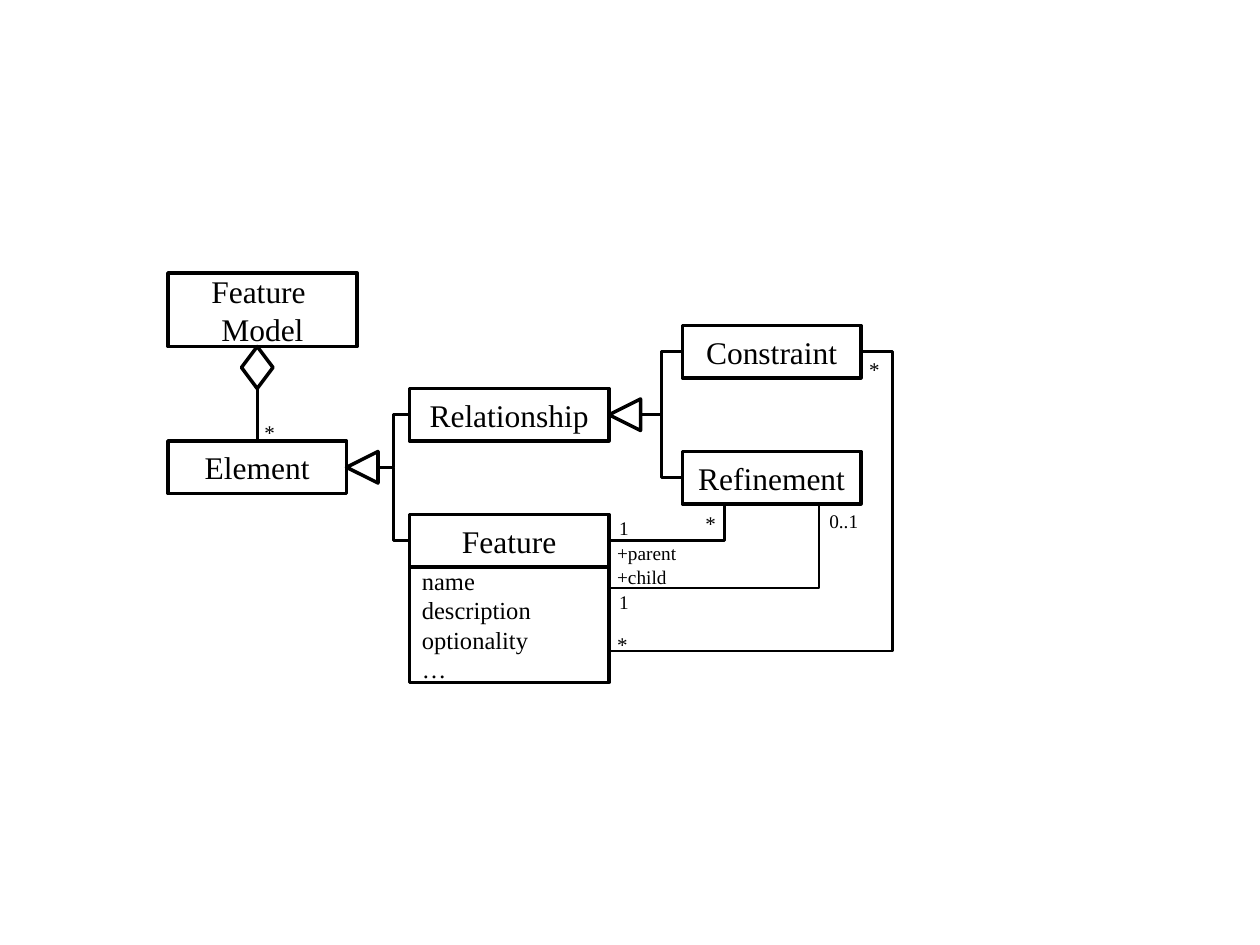
from dataclasses import dataclass

from lxml import etree
from pptx import Presentation
from pptx.dml.color import RGBColor
from pptx.enum.shapes import MSO_CONNECTOR, MSO_SHAPE
from pptx.enum.text import MSO_ANCHOR, MSO_AUTO_SIZE, PP_ALIGN
from pptx.oxml.ns import qn
from pptx.util import Cm, Pt

RECTANGLE, TRIANGLE, DIAMOND = MSO_SHAPE.RECTANGLE, MSO_SHAPE.ISOSCELES_TRIANGLE, MSO_SHAPE.DIAMOND
STRAIGHT, ELBOW = MSO_CONNECTOR.STRAIGHT, MSO_CONNECTOR.ELBOW
CENTER, LEFT = PP_ALIGN.CENTER, PP_ALIGN.LEFT
MIDDLE = MSO_ANCHOR.MIDDLE
FIT_TEXT = MSO_AUTO_SIZE.SHAPE_TO_FIT_TEXT
TOP, BOTTOM = 0, 2


@dataclass(frozen=True)
class Theme:
    font: str = "Times New Roman"
    ink: RGBColor = RGBColor(0, 0, 0)
    paper: RGBColor = RGBColor(255, 255, 255)
    class_size: int = 18
    attribute_size: int = 14
    star_size: int = 12
    label_size: int = 11
    outline: float = 2
    link: float = 1.5


theme = Theme()
GRID = 2.54 / 12  # the diagram sits on a grid of twelve steps to the inch


def grid(*steps):
    return [Cm(step * GRID) for step in steps]


def write(shape, text, size, align):
    shape.text_frame.text = text
    for para in shape.text_frame.paragraphs:
        para.alignment = align
        for span in para.runs:
            span.font.name = theme.font
            span.font.size = Pt(size)
            span.font.color.rgb = theme.ink


deck = Presentation()
deck.slide_width, deck.slide_height = Cm(25.4), Cm(19.05)
page = deck.slides.add_slide(deck.slide_layouts[6])

# Links: start, end, and where the bend lies as a share of the width
links = [
    ((58, 51.5), (69, 48), 1),         # Feature as parent - Refinement
    ((58, 56), (78, 48), 1),           # Feature as child - Refinement
    ((82, 33.5), (58, 62), -0.125),    # Constraint - Feature
    ((36, 44.5), (39, 39.5), 0.5),     # Element - Relationship
    ((36, 44.5), (39, 51.5), 0.5),     # Element - Feature
    ((61, 39.5), (65, 33.5), 0.5),     # Relationship - Constraint
    ((61, 39.5), (65, 45.5), 0.5),     # Relationship - Refinement
]
connectors = []
for start, end, bend in links:
    link = page.shapes.add_connector(ELBOW, *grid(*start, *end))
    guides = link._element.spPr.find(qn("a:prstGeom")).get_or_add_avLst()
    etree.SubElement(guides, qn("a:gd"), name="adj1", fmla=f"val {round(bend * 100000)}")
    connectors.append(link)

# Class boxes, inheritance triangles and the aggregation diamond
nodes = [
    (RECTANGLE, "Relationship", 39, 37, 19, 5),
    (RECTANGLE, "Element", 16, 42, 17, 5),
    (RECTANGLE, "Feature", 39, 49, 19, 5),
    (RECTANGLE, "Refinement", 65, 43, 17, 5),
    (RECTANGLE, "Constraint", 65, 31, 17, 5),
    (RECTANGLE, "Feature \nModel", 16, 26, 18, 7),
    (RECTANGLE, "name\ndescription\noptionality\n…", 39, 54, 19, 11),
    (TRIANGLE, "", 33, 43, 3, 3),
    (TRIANGLE, "", 58, 38, 3, 3),
    (DIAMOND, "", 23, 33, 3, 4),
]
shapes = {}
for kind, text, *place in nodes:
    box = page.shapes.add_shape(kind, *grid(*place))
    box.shadow.inherit = False
    box.fill.solid()
    box.fill.fore_color.rgb = theme.paper
    box.line.color.rgb = theme.ink
    box.line.width = Pt(theme.outline)
    box.text_frame.vertical_anchor = MIDDLE
    if kind == TRIANGLE:
        box.rotation = 270
    if text.startswith("name"):
        write(box, text, theme.attribute_size, LEFT)
    elif text:
        write(box, text, theme.class_size, CENTER)
    shapes[text or kind] = box

# Aggregation line from the diamond to Element
aggregation = page.shapes.add_connector(STRAIGHT, *grid(24.5, 37, 24.5, 42))
aggregation.begin_connect(shapes[DIAMOND], BOTTOM)
aggregation.end_connect(shapes["Element"], TOP)
connectors.append(aggregation)

for link in connectors:
    link.line.color.rgb = theme.ink
    link.line.width = Pt(theme.link)
    etree.SubElement(link._element.spPr, qn("a:effectLst"))

# Roles and multiplicities: text, left, top, width
labels = [
    ("+parent", 57.6, 51, 8.4),
    ("+child", 57.6, 53.2, 7.2),
    ("1", 57.8, 48.6, 3.4),
    ("1", 57.8, 55.6, 3.4),
    ("0..1", 77.8, 47.9, 5.3),
    ("*", 81.6, 33.4, 3.5),
    ("*", 57.6, 59.6, 3.5),
    ("*", 66, 48, 3.5),
    ("*", 24, 39.4, 3.5),
]
for text, left, top, width in labels:
    label = page.shapes.add_textbox(*grid(left, top, width, 3.5))
    label.text_frame.word_wrap = False
    label.text_frame.auto_size = FIT_TEXT
    write(label, text, theme.star_size if text == "*" else theme.label_size, LEFT)

deck.save("out.pptx")
